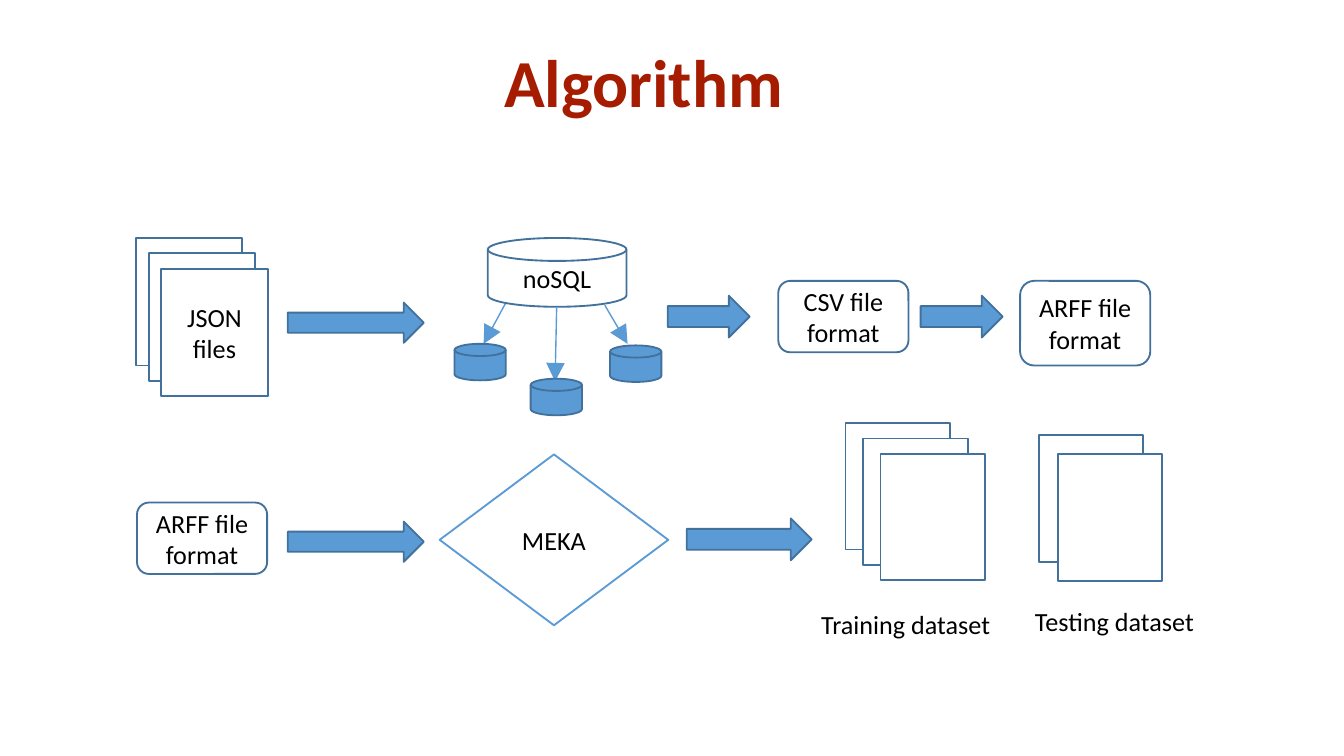
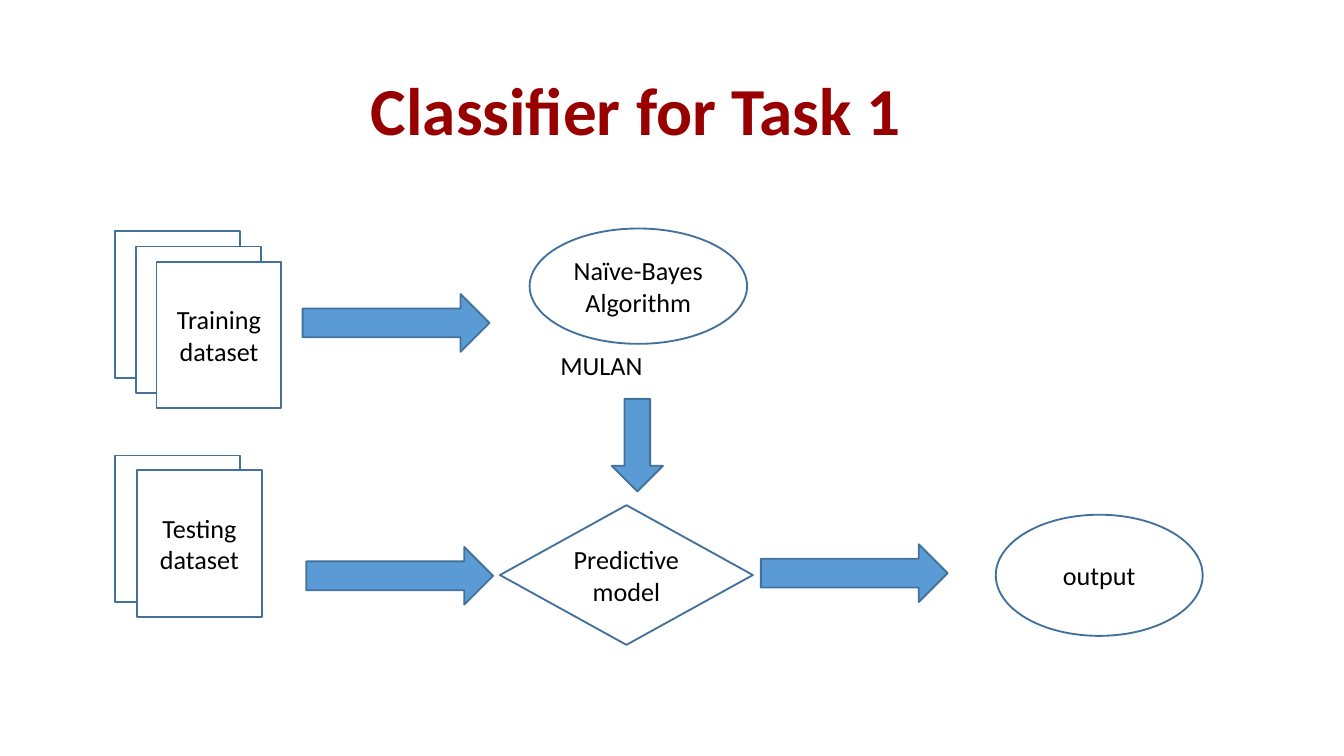
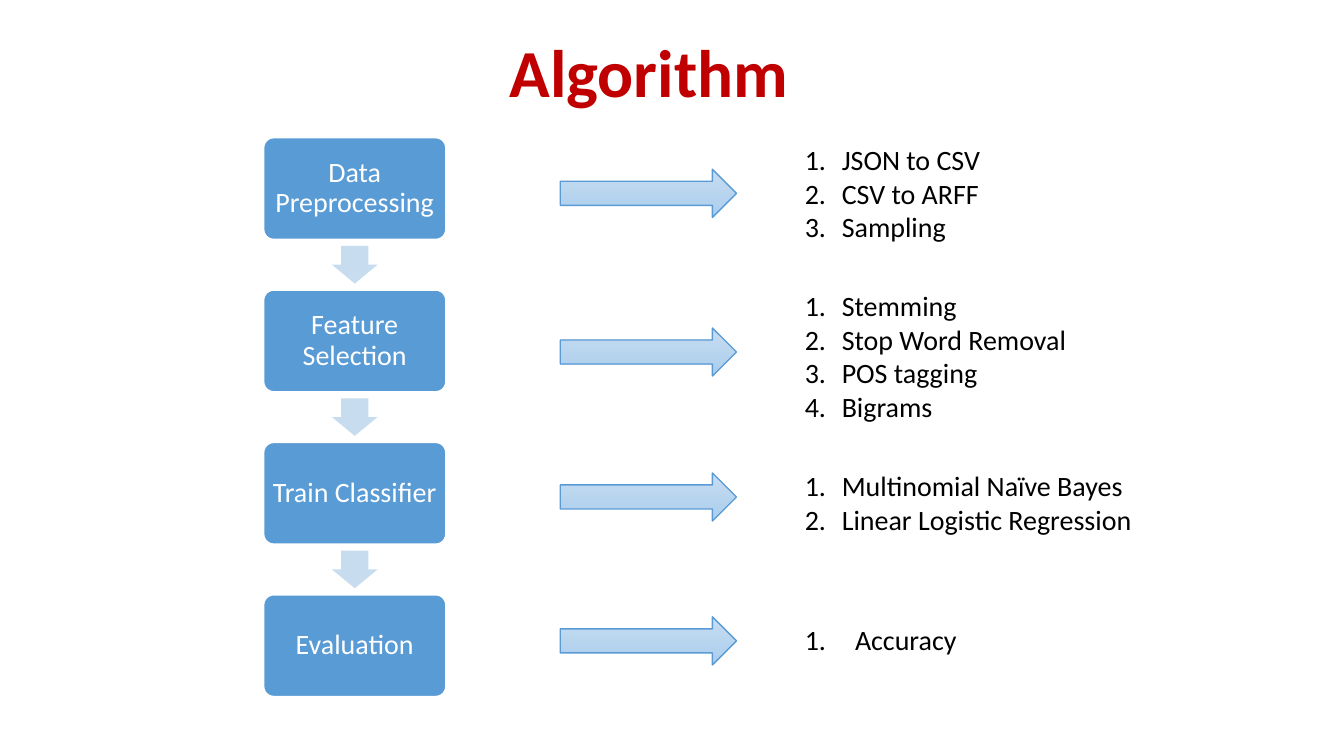
"""Build three slides on a text classification workflow."""
import lxml.etree
import pptx
import pptx.dml.color
import pptx.enum.shapes
import pptx.enum.text
import pptx.oxml.ns
import pptx.util

Cm = pptx.util.Cm
Pt = pptx.util.Pt
FORM = pptx.enum.shapes.MSO_SHAPE
LEFT = pptx.enum.text.PP_ALIGN.LEFT
MID = pptx.enum.text.PP_ALIGN.CENTER
TOP = pptx.enum.text.MSO_ANCHOR.TOP
CORE = pptx.enum.text.MSO_ANCHOR.MIDDLE

WHITE, BLACK, BLUE, EDGE = "FFFFFF", "000000", "5B9BD5", "42719C"
FADE = ("C6DDF1", "ABCDED")
FRAME = {"word_wrap": True, "margin_left": Cm(0.18), "margin_right": Cm(0.18),
         "margin_top": Cm(0.1), "margin_bottom": Cm(0.1)}
TIGHT = {"margin_left": Cm(0.05), "margin_right": Cm(0.05)}
HOOK = {"type": "triangle", "w": "lg", "len": "lg"}

KINDS = {
    "page": (FORM.RECTANGLE, WHITE, EDGE),
    "arrow": (FORM.RIGHT_ARROW, BLUE, EDGE),
    "down": (FORM.DOWN_ARROW, BLUE, EDGE),
    "store": (FORM.FLOWCHART_MAGNETIC_DISK, WHITE, EDGE),
    "shard": (FORM.FLOWCHART_MAGNETIC_DISK, BLUE, EDGE),
    "file": (FORM.ROUNDED_RECTANGLE, WHITE, EDGE),
    "tool": (FORM.DIAMOND, WHITE, BLUE),
    "model": (FORM.DIAMOND, WHITE, EDGE),
    "oval": (FORM.OVAL, WHITE, EDGE),
    "step": (FORM.ROUNDED_RECTANGLE, "599BD5", WHITE),
    "next": (FORM.DOWN_ARROW, "C7DDEF", None),
    "link": (FORM.RIGHT_ARROW, FADE, BLUE),
}

FLOW = {
    "title": ("Algorithm", "A61C00", LEFT, (9.35, 0.23, 16.05, 2.77)),
    "stacks": [
        ("JSON files", 3, (2.57, 4.5), (0.24, 0.29), (2.01, 2.41)),
        ("", 3, (15.98, 8), (0.33, 0.29), (1.98, 2.39)),
        ("", 2, (19.63, 8.23), (0.36, 0.36), (1.98, 2.39)),
    ],
    "lines": [
        (9.55, 5.74, 9.14, 6.5),
        (10.52, 5.82, 10.49, 7.21),
        (11.43, 5.77, 11.86, 6.5),
    ],
    "shapes": [
        ("arrow", "", (5.44, 5.72, 2.57, 0.76)),
        ("store", "noSQL", (9.22, 4.5, 2.62, 1.3)),
        ("shard", "", (8.59, 6.5, 0.97, 0.69)),
        ("shard", "", (11.53, 6.53, 0.97, 0.69)),
        ("shard", "", (10.03, 7.16, 0.97, 0.69)),
        ("arrow", "", (12.62, 5.59, 1.55, 0.79)),
        ("file", "CSV file format", (14.71, 5.31, 2.46, 1.35)),
        ("arrow", "", (17.4, 5.59, 1.55, 0.79)),
        ("file", "ARFF file format", (19.28, 5.31, 2.46, 1.6)),
        ("file", "ARFF file format", (2.59, 9.5, 2.46, 1.35)),
        ("arrow", "", (5.44, 9.86, 2.57, 0.76)),
        ("tool", "MEKA", (8.31, 8.59, 4.32, 3.23)),
        ("arrow", "", (12.98, 9.8, 2.36, 0.79)),
    ],
    "labels": [
        ("Training dataset", (15.34, 11.4, 3.66, 0.76)),
        ("Testing dataset", (19.38, 11.35, 3.84, 0.76)),
    ],
}

TASK = {
    "title": ("Classifier for Task 1", "980000", LEFT, (6.83, 0.76, 16.82, 2.77)),
    "stacks": [
        ("Training dataset", 3, (2.18, 4.37), (0.39, 0.29), (2.36, 2.77)),
        ("Testing dataset", 2, (2.18, 8.61), (0.41, 0.28), (2.36, 2.77)),
    ],
    "lines": [],
    "shapes": [
        ("arrow", "", (5.72, 5.56, 3.53, 1.09)),
        ("arrow", "", (5.79, 10.34, 3.53, 1.09)),
        ("oval", "Naïve-Bayes Algorithm", (10.01, 4.32, 4.11, 2.18)),
        ("down", "", (11.56, 7.54, 0.97, 1.75)),
        ("model", "Predictive model", (9.45, 9.55, 4.78, 2.64)),
        ("arrow", "", (14.38, 10.29, 3.53, 1.09)),
        ("oval", "output", (18.82, 9.73, 3.91, 2.29)),
    ],
    "labels": [("MULAN", (10.41, 6.5, 2.57, 0.76))],
}

HEAD = ("Algorithm", "C00000", MID, (1.32, 0.05, 21.89, 2.77))
STEPS = [
    ("Data Preprocessing", 3.2, 2.6, 0.72,
     ["JSON to CSV", "CSV to ARFF", "Sampling"]),
    ("Feature Selection", 6.2, 5.36, 0.72,
     ["Stemming", "Stop Word Removal", "POS tagging", "Bigrams"]),
    ("Train Classifier", 8.94, 8.76, 0.72,
     ["Multinomial Naïve Bayes", "Linear Logistic Regression"]),
    ("Evaluation", 11.66, 11.66, 0.97, ["Accuracy"]),
]


def tint(code):
    return pptx.dml.color.RGBColor.from_string(code)


def apply(item, vals):
    for key, val in vals.items():
        setattr(item, key, val)


def write(shape, rows, size=14, color=BLACK, align=MID, anchor=CORE, bold=False, **form):
    frame = shape.text_frame
    apply(frame, {**FRAME, "vertical_anchor": anchor})
    frame.text = "\n".join(rows)
    for para in frame.paragraphs:
        apply(para, {"alignment": align, **form})
        for run in para.runs:
            apply(run.font, {"name": "Calibri", "size": Pt(size), "bold": bold})
            run.font.color.rgb = tint(color)


def draw(slide, kind, text, box, **form):
    shape_type, fill, edge = KINDS[kind]
    shape = slide.shapes.add_shape(shape_type, *map(Cm, box))
    shape.shadow.inherit = False
    if isinstance(fill, tuple):
        shape.fill.gradient()
        shape.fill.gradient_angle = 270
        for stop, code in zip(shape.fill.gradient_stops, fill):
            stop.color.rgb = tint(code)
    else:
        shape.fill.solid()
        shape.fill.fore_color.rgb = tint(fill)
    if edge:
        shape.line.color.rgb = tint(edge)
        shape.line.width = Pt(0.75 if kind == "link" else 1)
    else:
        shape.line.fill.background()
    if text:
        write(shape, [text], **form)
    return shape


def label(slide, rows, box, **form):
    shape = slide.shapes.add_textbox(*map(Cm, box))
    write(shape, rows, **form)
    return shape


def head(slide, text, color, align, box):
    label(slide, [text], box, size=36, color=color, align=align, bold=True,
          line_spacing=0.9)


def stack(slide, text, count, start, step, size):
    for num in range(count):
        spot = [base + num * move for base, move in zip(start, step)]
        draw(slide, "page", text if num == count - 1 else "", (*spot, *size))


def join(slide, ends):
    kind = pptx.enum.shapes.MSO_CONNECTOR.STRAIGHT
    link = slide.shapes.add_connector(kind, *map(Cm, ends))
    link.line.color.rgb = tint(BLUE)
    link.line.width = Pt(0.75)
    name = pptx.oxml.ns.qn
    props = link._element.spPr
    lxml.etree.SubElement(props.find(name("a:ln")), name("a:tailEnd"), HOOK)
    lxml.etree.SubElement(props, name("a:effectLst"))


def number(shape, indent):
    for para in shape.text_frame.paragraphs:
        props = para._p.get_or_add_pPr()
        props.set("marL", str(Cm(indent)))
        props.set("indent", str(-Cm(indent - 0.02)))
        lxml.etree.SubElement(props, pptx.oxml.ns.qn("a:buAutoNum"), type="arabicPeriod")


def chart(slide, data):
    head(slide, *data["title"])
    for item in data["stacks"]:
        stack(slide, *item)
    for ends in data["lines"]:
        join(slide, ends)
    for item in data["shapes"]:
        draw(slide, *item)
    for text, box in data["labels"]:
        label(slide, [text], box, align=LEFT, anchor=TOP)


def ladder(slide):
    head(slide, *HEAD)
    left, top, wide, high, pitch = 4.98, 2.6, 3.45, 1.93, 2.88
    width, height = 0.86, 0.71
    for num, (text, arrow, list_top, indent, rows) in enumerate(STEPS):
        y = top + num * pitch
        step = draw(slide, "step", text, (left, y, wide, high), size=15,
                    color=WHITE, line_spacing=0.9)
        step.adjustments[0] = 0.1
        apply(step.text_frame, TIGHT)
        if num < len(STEPS) - 1:
            gap = y + (high + pitch - height) / 2
            mark = draw(slide, "next", "", (left + (wide - width) / 2, gap, width, height))
            mark.adjustments[0] = 0.6
        draw(slide, "link", "", (10.59, arrow, 3.33, 0.91))
        box = (15.01, list_top, 10.39, 0.2 + 0.64 * len(rows))
        number(label(slide, rows, box, size=15, align=LEFT, anchor=TOP), indent)


def main():
    deck = pptx.Presentation()
    apply(deck, {"slide_width": Cm(25.4), "slide_height": Cm(14.29)})
    blank = deck.slide_layouts[6]
    for data in (FLOW, TASK):
        chart(deck.slides.add_slide(blank), data)
    ladder(deck.slides.add_slide(blank))
    deck.save("out.pptx")


if __name__ == "__main__":
    main()
